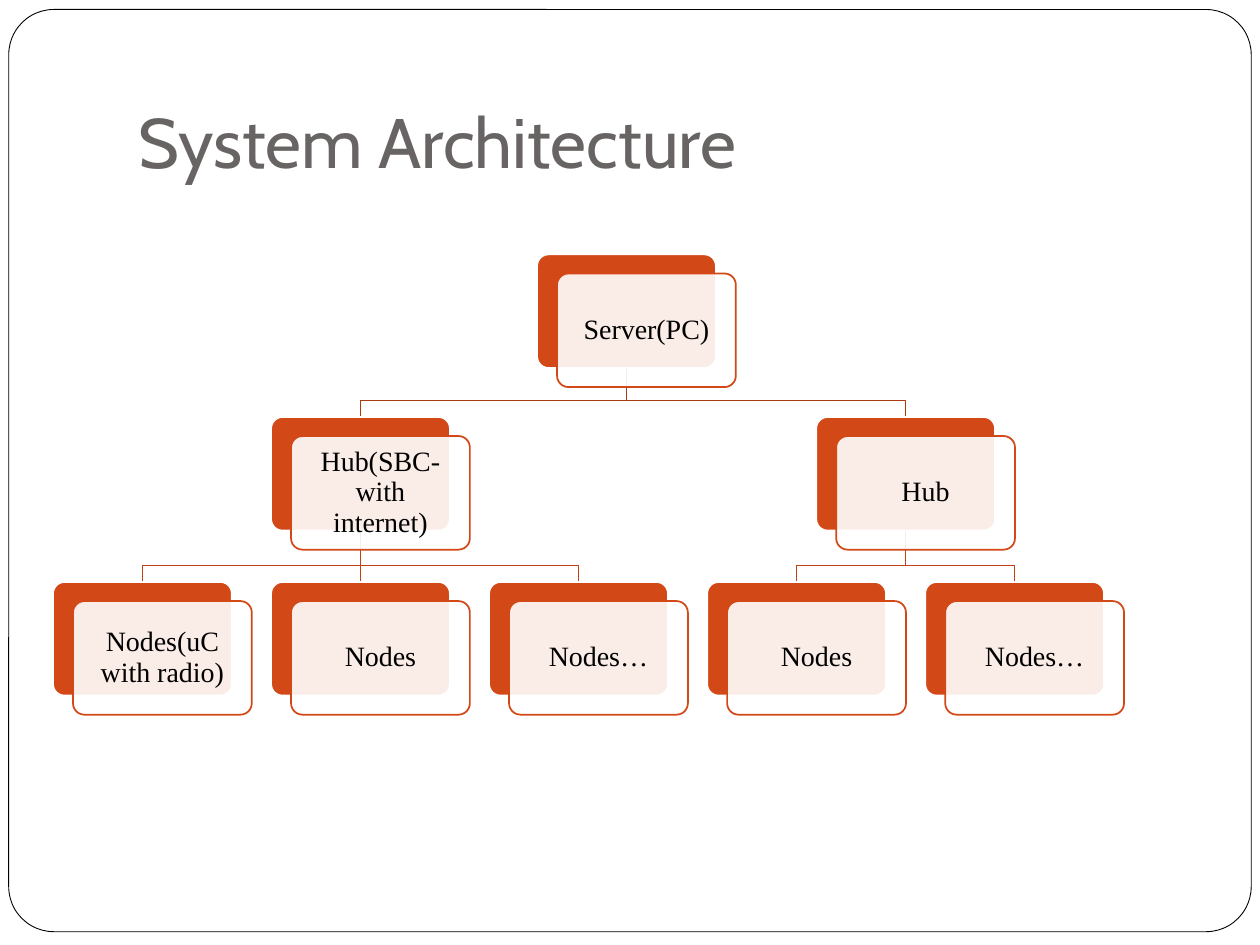
from lxml import etree
from pptx import Presentation
from pptx.dml.color import RGBColor
from pptx.enum.shapes import MSO_CONNECTOR, MSO_SHAPE
from pptx.enum.text import MSO_ANCHOR, PP_ALIGN
from pptx.oxml.ns import qn
from pptx.util import Pt

ROUNDED = MSO_SHAPE.ROUNDED_RECTANGLE
STRAIGHT = MSO_CONNECTOR.STRAIGHT
MIDDLE, BOTTOM = MSO_ANCHOR.MIDDLE, MSO_ANCHOR.BOTTOM
LEFT, CENTER = PP_ALIGN.LEFT, PP_ALIGN.CENTER

ORANGE, WHITE, BLACK, GREY = "D34817", "FFFFFF", "000000", "696464"
TREE_LEFT, COLUMN_PITCH = 30.3, 124.6
LEVEL_TOPS = [145.4, 238.3, 332.6]
BRANCH_COLORS = ["A93A12", "BF4115"]
CARD_WIDTH, CARD_HEIGHT = 102.2, 64.9
FRONT_DX, FRONT_DY = 11.4, 10.9
BRANCH_GAP = 9.4

SERVER = ("Server(PC)", 2.22, [
    ("Hub(SBC- with internet)", 1, [
        ("Nodes(uC with radio)", 0, []),
        ("Nodes", 1, []),
        ("Nodes…", 2, []),
    ]),
    ("Hub", 3.5, [
        ("Nodes", 3, []),
        ("Nodes…", 4, []),
    ]),
])

TITLE_FRAME = {"word_wrap": True, "vertical_anchor": BOTTOM,
               "margin_left": Pt(7.2), "margin_right": Pt(7.2),
               "margin_top": Pt(3.6), "margin_bottom": Pt(7.2)}
CARD_FRAME = {"word_wrap": True, "vertical_anchor": MIDDLE,
              "margin_left": Pt(6.5), "margin_right": Pt(6.5),
              "margin_top": Pt(6.5), "margin_bottom": Pt(6.5)}
TITLE_PARAGRAPH = {"alignment": LEFT}
CARD_PARAGRAPH = {"alignment": CENTER, "line_spacing": 0.9}
TITLE_FONT = {"name": "Cabin", "size": Pt(40)}
CARD_FONT = {"name": "Times New Roman", "size": Pt(16)}


def rgb(hex_color):
    return RGBColor.from_string(hex_color)


def apply(target, values):
    for name, value in values.items():
        setattr(target, name, value)


def write(shape, text, frame, paragraph, font, color):
    apply(shape.text_frame, frame)
    line = shape.text_frame.paragraphs[0]
    apply(line, paragraph)
    run = line.add_run()
    run.text = text
    apply(run.font, font)
    run.font.color.rgb = rgb(color)


def stroke(shape, color, width):
    shape.line.color.rgb = rgb(color)
    shape.line.width = Pt(width)


def add_rounded(slide, box, corner, fill, outline, width=1):
    panel = slide.shapes.add_shape(ROUNDED, *map(Pt, box))
    panel.shadow.inherit = False
    panel.adjustments[0] = corner
    panel.fill.solid()
    panel.fill.fore_color.rgb = rgb(fill)
    stroke(panel, outline, width)
    return panel


def set_opacity(shape, percent):
    color = shape.element.spPr.find(qn("a:solidFill"))[0]
    etree.SubElement(color, qn("a:alpha"), val=str(percent * 1000))


def add_title(slide, text):
    title = slide.shapes.title
    apply(title, {"left": Pt(72), "top": Pt(21.6),
                  "width": Pt(612), "height": Pt(90)})
    write(title, text, TITLE_FRAME, TITLE_PARAGRAPH, TITLE_FONT, GREY)


def add_frame(slide):
    frame = add_rounded(slide, (5, 5.4, 710, 527), 0.049, WHITE, BLACK, 0.5)
    slide.shapes.element.insert(2, frame.element)


def column_left(column):
    return TREE_LEFT + column * COLUMN_PITCH


def add_branch(slide, level, parent_column, child_column):
    start_x, end_x = (column_left(column) + CARD_WIDTH / 2
                      for column in (parent_column, child_column))
    start_y = LEVEL_TOPS[level] + CARD_HEIGHT
    end_y = LEVEL_TOPS[level + 1]
    if start_x == end_x:
        branch = slide.shapes.add_connector(
            STRAIGHT, Pt(start_x), Pt(start_y), Pt(end_x), Pt(end_y))
        etree.SubElement(branch.element.spPr, qn("a:effectLst"))
    else:
        bend_y = end_y - BRANCH_GAP
        corners = [(start_x, bend_y), (end_x, bend_y), (end_x, end_y)]
        builder = slide.shapes.build_freeform(Pt(start_x), Pt(start_y))
        builder.add_line_segments(
            [(Pt(x), Pt(y)) for x, y in corners], close=False)
        branch = builder.convert_to_shape()
        branch.fill.background()
        branch.shadow.inherit = False
    stroke(branch, BRANCH_COLORS[level], 1)


def add_branches(slide, node, level=0):
    _, column, children = node
    for child in children:
        add_branch(slide, level, column, child[1])
        add_branches(slide, child, level + 1)


def add_cards(slide, node, level=0):
    text, column, children = node
    left, top = column_left(column), LEVEL_TOPS[level]
    size = (CARD_WIDTH, CARD_HEIGHT)
    add_rounded(slide, (left, top, *size), 0.1, ORANGE, WHITE)
    front = add_rounded(slide, (left + FRONT_DX, top + FRONT_DY, *size),
                        0.1, WHITE, ORANGE)
    set_opacity(front, 90)
    write(front, text, CARD_FRAME, CARD_PARAGRAPH, CARD_FONT, BLACK)
    for child in children:
        add_cards(slide, child, level + 1)


def main():
    deck = Presentation()
    apply(deck, {"slide_width": Pt(720), "slide_height": Pt(540)})
    slide = deck.slides.add_slide(deck.slide_layouts[5])
    add_frame(slide)
    add_title(slide, "System Architecture")
    add_branches(slide, SERVER)
    add_cards(slide, SERVER)
    deck.save("out.pptx")


if __name__ == "__main__":
    main()
